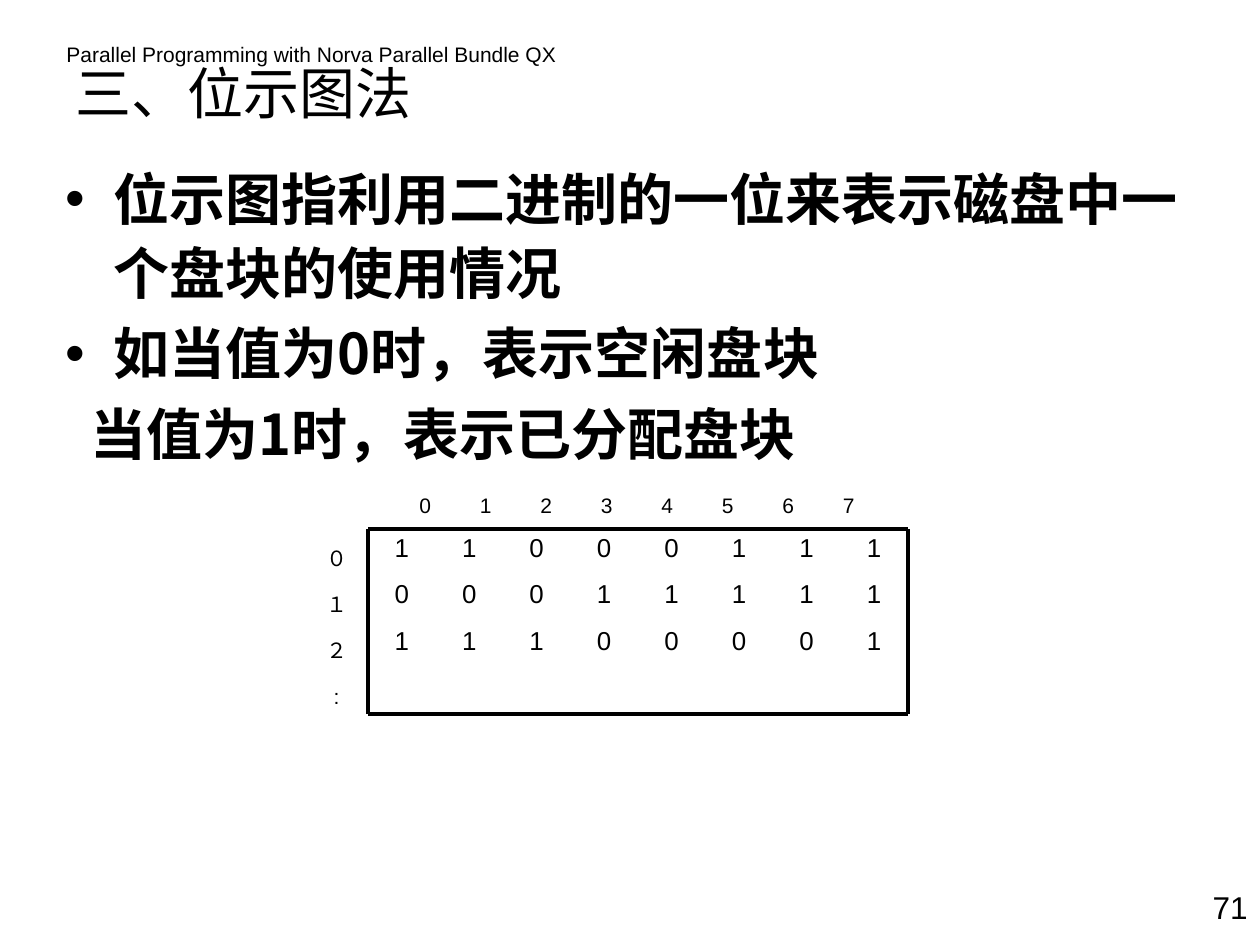
from lxml import etree
from pptx import Presentation
from pptx import util as u
from pptx.dml.color import RGBColor
from pptx.enum import shapes, text
from pptx.oxml import ns

BLACK = RGBColor(0, 0, 0)
LATIN = "Arial"
CHINESE = "Noto Sans CJK SC"
LEFT, CENTER, RIGHT = text.PP_ALIGN.LEFT, text.PP_ALIGN.CENTER, text.PP_ALIGN.RIGHT

presentation = Presentation()
presentation.slide_width, presentation.slide_height = u.Cm(25.4), u.Cm(19.05)
slide = presentation.slides.add_slide(presentation.slide_layouts[6])


def add_text(left, top, width, height, content, size, font=LATIN, align=LEFT,
             before=0, spacing=1.0, bold=False):
    box = slide.shapes.add_textbox(u.Cm(left), u.Cm(top), u.Cm(width), u.Cm(height))
    box.text_frame.word_wrap = True
    box.text_frame.text = content
    for paragraph in box.text_frame.paragraphs:
        paragraph.alignment = align
        paragraph.space_before = u.Pt(before)
        paragraph.line_spacing = spacing
        for run in paragraph.runs:
            run.font.name = font
            run.font.size = u.Pt(size)
            run.font.bold = bold
            run.font.color.rgb = BLACK
            east_asian = etree.SubElement(run.font._element, ns.qn("a:ea"))
            east_asian.set("typeface", CHINESE)
    return box.text_frame


# Header, title and page number
add_text(1.09, 0.71, 10.41, 0.76, "Parallel Programming with Norva Parallel Bundle QX", 12)
title = add_text(1.27, 0.91, 12.9, 1.91, "三、位示图法", 32, CHINESE)
title.vertical_anchor = text.MSO_ANCHOR.MIDDLE
add_text(23.7, 17.78, 1.7, 1.02, "71", 18, align=RIGHT, before=11.2)

# Explanation: two bullets and an indented continuation
statements = [
    "位示图指利用二进制的一位来表示磁盘中一个盘块的使用情况",
    "如当值为0时，表示空闲盘块",
    "当值为1时，表示已分配盘块",
]
body = add_text(1.07, 3.05, 23.7, 11.43, "\n".join(statements), 32, CHINESE,
                before=4, spacing=1.1, bold=True)
for paragraph, bulleted in zip(body.paragraphs, (True, True, False)):
    properties = paragraph._p.get_or_add_pPr()
    properties.set("marL", str(u.Cm(0.97)))
    properties.set("indent", str(u.Cm(-0.97 if bulleted else -0.47)))
    if bulleted:
        etree.SubElement(properties, ns.qn("a:buFont")).set("typeface", LATIN)
        etree.SubElement(properties, ns.qn("a:buChar")).set("char", "•")

# Bitmap cells
bitmap = ["11000111", "00011111", "11100001"]
grid_left, grid_top = 7.42, 10.67
cell_width, cell_height = 1.36, 0.93
for row, bits in enumerate(bitmap):
    for column, bit in enumerate(bits):
        add_text(grid_left + column * cell_width, grid_top + row * cell_height,
                 cell_width, cell_height, bit, 14.8, align=CENTER, before=4, spacing=0.9)

# Bitmap frame, one row taller than the listed rows
grid_right = grid_left + 8 * cell_width
grid_bottom = grid_top + 4 * cell_height
for x1, y1, x2, y2 in [
    (grid_left, grid_top, grid_right, grid_top),
    (grid_left, grid_bottom, grid_right, grid_bottom),
    (grid_left, grid_top, grid_left, grid_bottom),
    (grid_right, grid_top, grid_right, grid_bottom),
]:
    edge = slide.shapes.add_connector(shapes.MSO_CONNECTOR.STRAIGHT,
                                      u.Cm(x1), u.Cm(y1), u.Cm(x2), u.Cm(y2))
    edge.line.color.rgb = BLACK
    edge.line.width = u.Pt(2.25)
    etree.SubElement(edge._element.spPr, ns.qn("a:effectLst"))

# Column numbers on evenly spaced centred tab stops
columns = add_text(grid_left, 9.8, 10.8, 0.76, "".join(f"\t{n}" for n in range(8)),
                   12, before=7.5)
tab_list = etree.SubElement(columns.paragraphs[0]._p.get_or_add_pPr(), ns.qn("a:tabLst"))
for column in range(8):
    tab = etree.SubElement(tab_list, ns.qn("a:tab"))
    tab.set("pos", str(u.Cm(0.9 + 1.22 * column)))
    tab.set("algn", "ctr")

# Row numbers
add_text(6.15, 10.87, 1.27, 3.56, "０\n１\n２\n:", 12, align=CENTER, before=12)

presentation.save("out.pptx")
